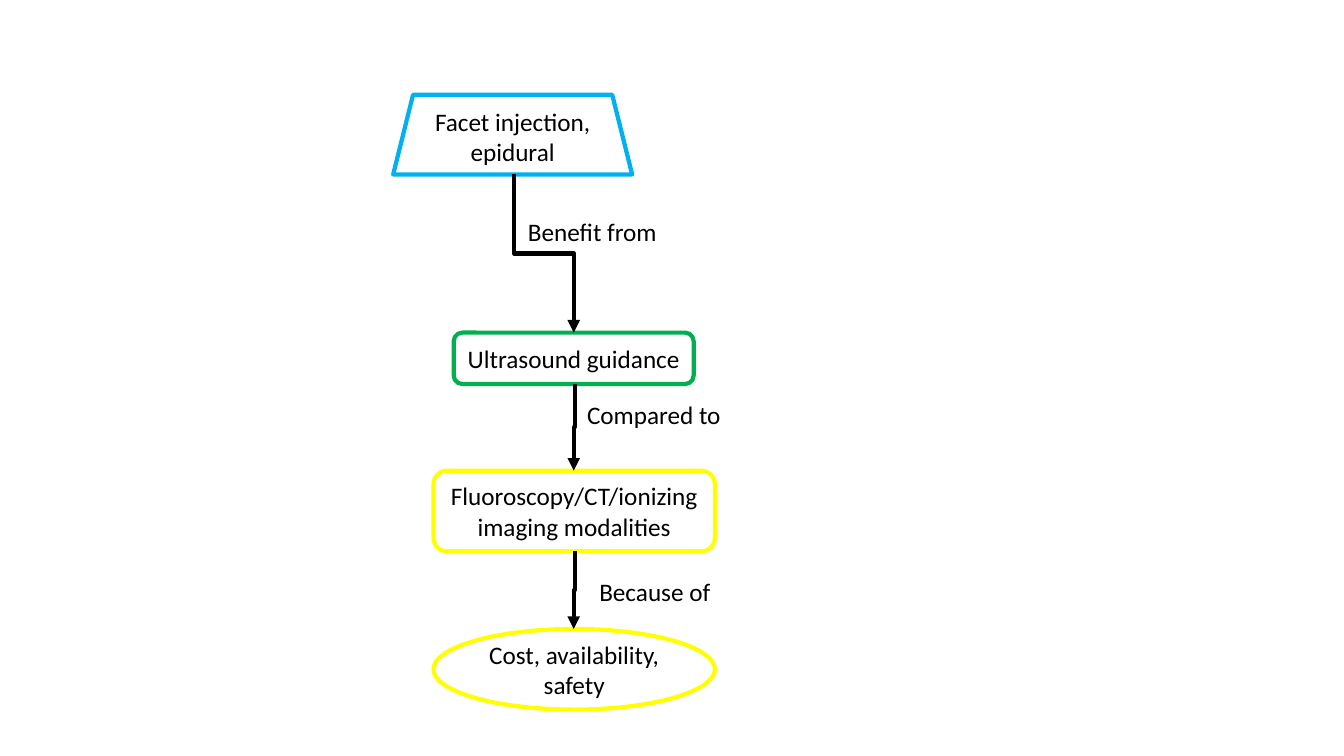
from lxml import etree
from pptx import Presentation
from pptx.dml.color import RGBColor
from pptx.enum.shapes import MSO_CONNECTOR, MSO_SHAPE
from pptx.enum.text import MSO_ANCHOR, PP_ALIGN
from pptx.oxml.ns import qn
from pptx.util import Inches, Pt

TRAPEZOID = MSO_SHAPE.TRAPEZOID
ROUNDED = MSO_SHAPE.ROUNDED_RECTANGLE
OVAL = MSO_SHAPE.OVAL
ELBOW = MSO_CONNECTOR.ELBOW
MIDDLE, TOP = MSO_ANCHOR.MIDDLE, MSO_ANCHOR.TOP
CENTER = PP_ALIGN.CENTER
BOTTOM_SITE, TOP_SITE = 2, 0

COLORS = {"treatment": "00B0F0", "guidance": "00B050", "comparison": "FFFF00", "ink": "000000"}
CELL = Inches(0.1)  # side of one grid square
LINE_WIDTH = Pt(3)


def grid(*cells):
    return [round(cell * CELL) for cell in cells]


def write(frame, wording, anchor):
    frame.word_wrap = True
    frame.vertical_anchor = anchor
    paragraph = frame.paragraphs[0]
    paragraph.alignment = CENTER
    run = paragraph.add_run()
    run.text = wording
    for name, value in {"name": "Calibri", "size": Pt(18)}.items():
        setattr(run.font, name, value)
    run.font.color.rgb = RGBColor.from_string(COLORS["ink"])


prs = Presentation()
prs.slide_width, prs.slide_height = Inches(13.33), Inches(7.5)
slide = prs.slides.add_slide(prs.slide_layouts[6])

# Steps: wording, outline, colour, then column, row, width, height in grid squares
STEPS = [
    ("Facet injection, epidural", TRAPEZOID, "treatment", 39, 9.4, 23.7, 7.9),
    ("Ultrasound guidance", ROUNDED, "guidance", 45, 33, 23.8, 5.1),
    ("Fluoroscopy/CT/ionizing imaging modalities", ROUNDED, "comparison", 43, 46.7, 27.9, 8),
    ("Cost, availability, safety", OVAL, "comparison", 43, 62.4, 27.9, 8),
]
steps = []
for wording, outline, color, *place in STEPS:
    step = slide.shapes.add_shape(outline, *grid(*place))
    step.shadow.inherit = False
    step.fill.background()
    step.line.color.rgb = RGBColor.from_string(COLORS[color])
    step.line.width = LINE_WIDTH
    write(step.text_frame, wording, MIDDLE)
    steps.append(step)

# Relations: wording, label column and row, start and end column of the arrow
RELATIONS = [
    ("Benefit from", 50.9, 21, 51, 56.9),
    ("Compared to", 57, 39.1, 57, 56.9),
    ("Because of", 57.1, 56.7, 57, 56.9),
]
for (wording, column, row, start, end), upper, lower in zip(RELATIONS, steps, steps[1:]):
    arrow = slide.shapes.add_connector(ELBOW, 0, 0, 0, 0)
    arrow.begin_connect(upper, BOTTOM_SITE)
    arrow.end_connect(lower, TOP_SITE)
    arrow.line.color.rgb = RGBColor.from_string(COLORS["ink"])
    arrow.line.width = LINE_WIDTH

    # A vertical-first elbow is a horizontal one turned about its centre
    start_x, end_x = grid(start, end)
    start_y, end_y = upper.top + upper.height, lower.top
    drop, shift = end_y - start_y, abs(end_x - start_x)
    arrow.left = (start_x + end_x - drop) // 2
    arrow.top = (start_y + end_y - shift) // 2
    arrow.width, arrow.height = drop, shift
    frame = arrow._element.spPr.find(qn("a:xfrm"))
    for flip in ("flipH", "flipV"):
        frame.attrib.pop(flip, None)
    goes_right = end_x > start_x
    frame.set("rot", str((270 if goes_right else 90) * 60000))
    if goes_right:
        frame.set("flipH", "1")

    etree.SubElement(arrow.line._get_or_add_ln(), qn("a:tailEnd"), type="triangle")
    etree.SubElement(arrow._element.spPr, qn("a:effectLst"))

    label = slide.shapes.add_textbox(*grid(column, row, 15.7, 4))
    write(label.text_frame, wording, TOP)

prs.save("out.pptx")
